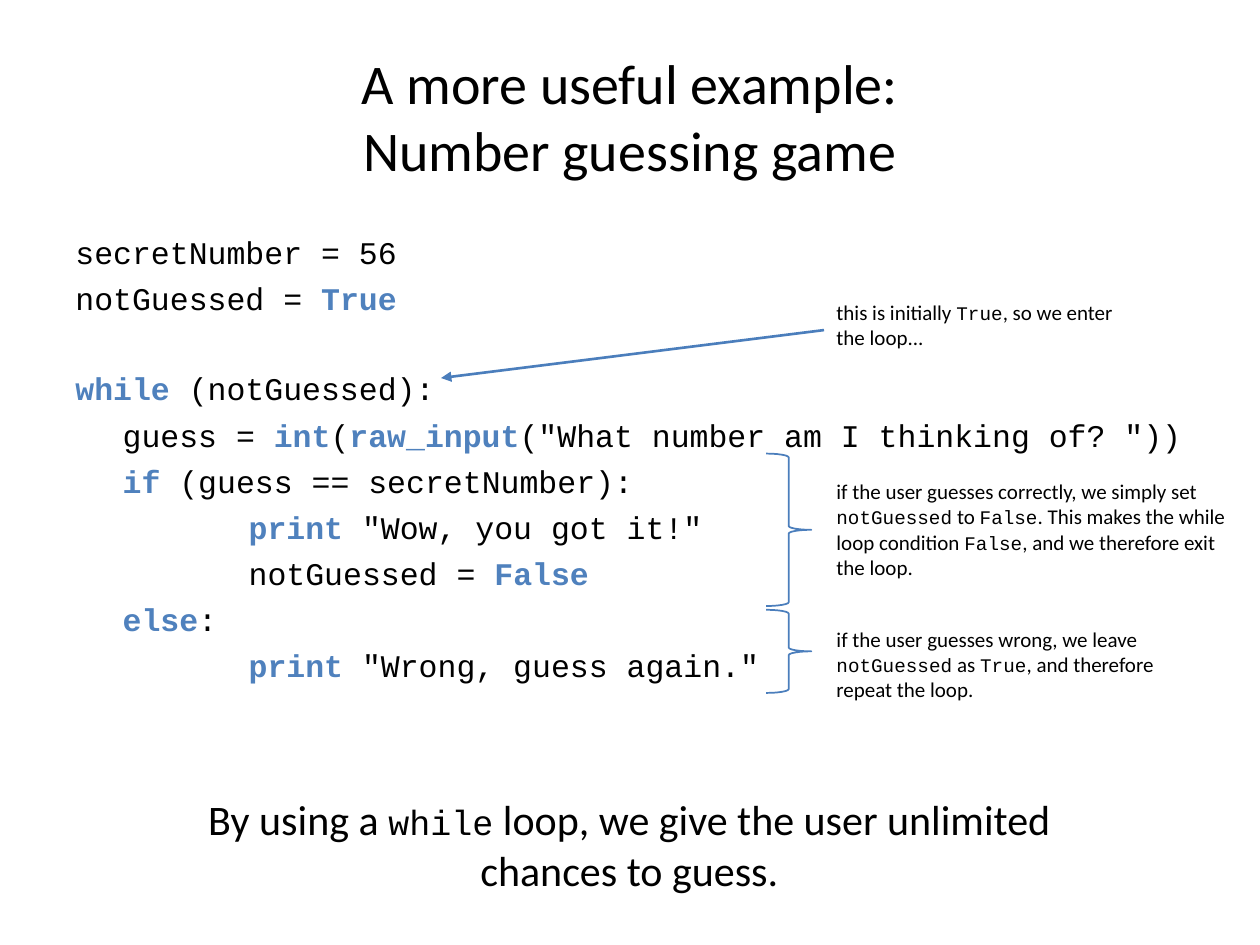
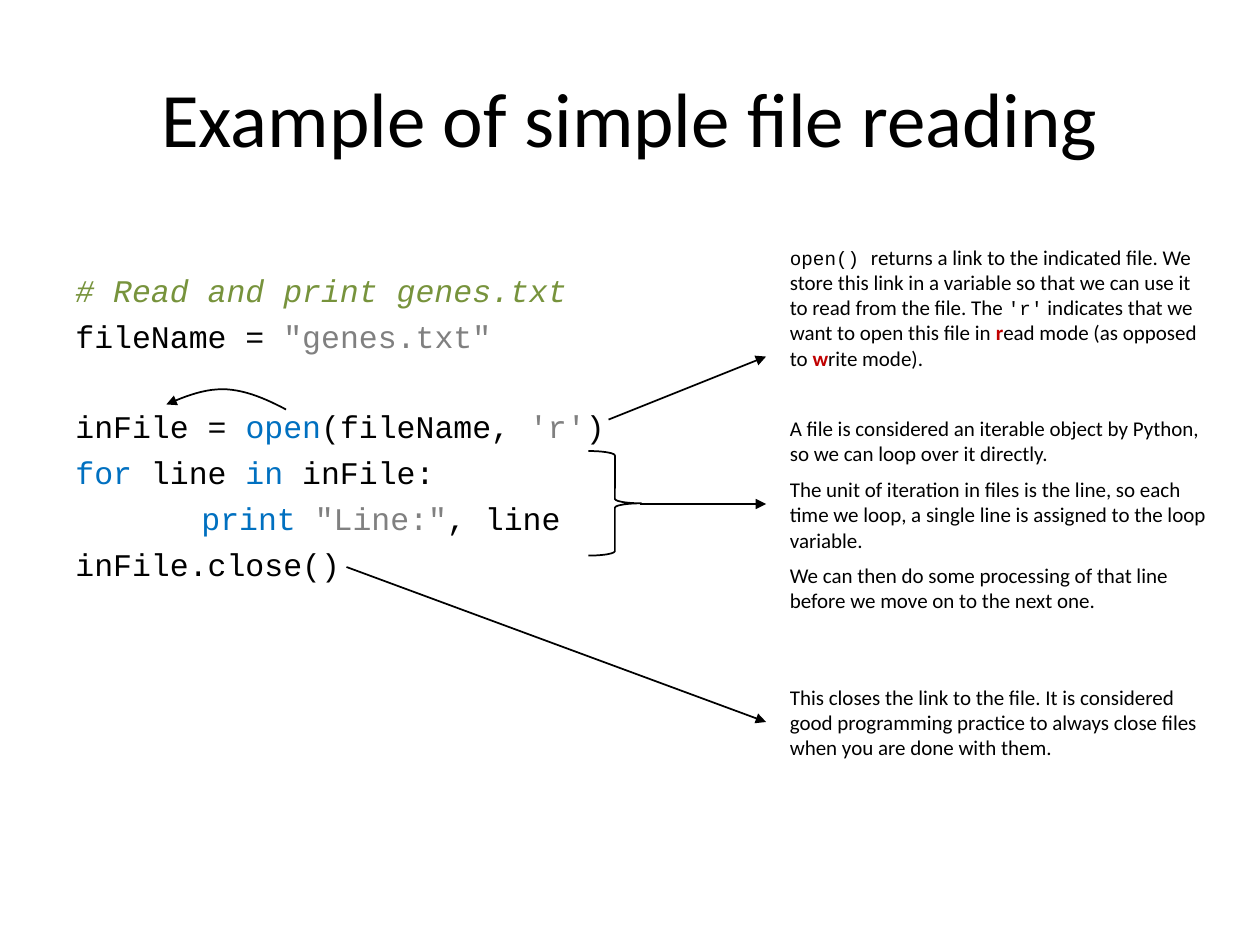
from dataclasses import dataclass, replace

from lxml.etree import SubElement
from pptx import Presentation
from pptx.dml.color import RGBColor
from pptx.enum.shapes import MSO_CONNECTOR, MSO_SHAPE
from pptx.enum.text import MSO_ANCHOR, PP_ALIGN
from pptx.oxml.ns import qn
from pptx.util import Emu, Pt

EMU_PER_PX = 9144  # 100 px to the inch
BLANK_LAYOUT = 6


@dataclass(frozen=True)
class Style:
    size: int
    family: str = "Calibri"
    color: str = "000000"
    bold: bool = False
    italic: bool = False


@dataclass(frozen=True)
class Theme:
    ink: str = "000000"
    callout_blue: str = "4B7EBC"
    title: Style = Style(44)
    long_title: Style = Style(32)
    note: Style = Style(12)
    note_code: Style = Style(11, "Courier New")
    note_letter: Style = Style(12, color="C00000", bold=True)
    summary: Style = Style(24)
    summary_code: Style = Style(20, "Courier New")
    code: Style = Style(18, "Courier New")
    code_gap: float = 4.75
    code_pitch: float = 25.15

    def code_in(self, color, **emphasis):
        return replace(self.code, color=color, **emphasis)


THEME = Theme()


def px(length):
    return Emu(round(length * EMU_PER_PX))


def set_font(font, style):
    font.name = style.family
    font.size = Pt(style.size)
    font.bold = style.bold
    font.italic = style.italic
    font.color.rgb = RGBColor.from_string(style.color)


def bezier(start, control_1, control_2, end, steps=12):
    """Points along a cubic curve, without its start."""
    for step in range(1, steps + 1):
        t = step / steps
        u = 1 - t
        yield tuple(
            u**3 * a + 3 * u * u * t * b + 3 * u * t * t * c + t**3 * d
            for a, b, c, d in zip(start, control_1, control_2, end)
        )


class Deck:
    def __init__(self, theme, width, height):
        self.theme = theme
        self.presentation = Presentation()
        self.presentation.slide_width = px(width)
        self.presentation.slide_height = px(height)
        self.slide = None

    def new_slide(self):
        layout = self.presentation.slide_layouts[BLANK_LAYOUT]
        self.slide = self.presentation.slides.add_slide(layout)

    def frame(self, box, inset=5, anchor=MSO_ANCHOR.TOP):
        """Empty wrapping text frame; inset is its top and bottom margin."""
        frame = self.slide.shapes.add_textbox(*map(px, box)).text_frame
        frame.word_wrap = True
        frame.vertical_anchor = anchor
        frame.margin_left = frame.margin_right = px(10)
        frame.margin_top = frame.margin_bottom = px(inset)
        return frame

    def fill_paragraph(self, paragraph, runs, base):
        """Write runs, each a string in the base style or a (style, string)."""
        set_font(paragraph.font, base)
        for part in runs:
            style, words = (base, part) if isinstance(part, str) else part
            run = paragraph.add_run()
            run.text = words
            set_font(run.font, style)

    def paragraphs(self, frame, count):
        return [frame.paragraphs[0]] + [frame.add_paragraph() for _ in range(count - 1)]

    def title(self, lines, style, inset=5, anchor=MSO_ANCHOR.MIDDLE):
        paragraph = self.frame((50, 30, 900, 125), inset, anchor).paragraphs[0]
        paragraph.alignment = PP_ALIGN.CENTER
        for number, line in enumerate(lines):
            if number:
                paragraph.add_line_break()
            self.fill_paragraph(paragraph, [line], style)

    def code(self, box, lines, inset=5):
        """Write lines of (indent, *runs); an empty tuple skips one line."""
        theme = self.theme
        written = [line for line in lines if line]
        paragraphs = iter(self.paragraphs(self.frame(box, inset), len(written)))
        before = theme.code_gap
        for line in lines:
            if not line:
                before += theme.code_pitch
                continue
            indent, *runs = line
            paragraph = next(paragraphs)
            paragraph.space_before = Pt(before)
            paragraph._p.get_or_add_pPr().set("marL", str(px(indent)))
            self.fill_paragraph(paragraph, runs, theme.code)
            before = theme.code_gap

    def note(self, box, *texts, after=0):
        paragraphs = self.paragraphs(self.frame(box), len(texts))
        for paragraph, runs in zip(paragraphs, texts):
            paragraph.space_after = Pt(after)
            self.fill_paragraph(paragraph, runs, self.theme.note)

    def summary(self, box, runs):
        paragraph = self.frame(box).paragraphs[0]
        paragraph.alignment = PP_ALIGN.CENTER
        self.fill_paragraph(paragraph, runs, self.theme.summary)

    def stroke(self, outlined, color, width, arrow=False):
        outlined.line.color.rgb = RGBColor.from_string(color)
        outlined.line.width = Pt(width)
        if arrow:
            line = outlined.line._get_or_add_ln()
            SubElement(line, qn("a:tailEnd"), type="triangle")

    def arrow(self, start, end, color, width=1):
        connector = self.slide.shapes.add_connector(
            MSO_CONNECTOR.STRAIGHT, *map(px, (*start, *end))
        )
        self.stroke(connector, color, width, arrow=True)
        SubElement(connector._element.spPr, qn("a:effectLst"))

    def curved_arrow(self, start, curves, color):
        points = [start]
        for curve in curves:
            points += bezier(points[-1], *curve)
        path = [(px(x), px(y)) for x, y in points]
        builder = self.slide.shapes.build_freeform(*path[0])
        builder.add_line_segments(path[1:], close=False)
        arc = builder.convert_to_shape()
        arc.fill.background()
        arc.shadow.inherit = False
        self.stroke(arc, color, 1, arrow=True)

    def brace(self, box, color):
        brace = self.slide.shapes.add_shape(MSO_SHAPE.RIGHT_BRACE, *map(px, box))
        brace.fill.background()
        brace.shadow.inherit = False
        self.stroke(brace, color, 1)


def add_guessing_game(deck):
    theme = deck.theme
    blue = theme.callout_blue

    def keyword(word):
        return theme.code_in("4F81BD", bold=True), word

    def term(word):
        return theme.note_code, word

    deck.new_slide()
    deck.code((50, 175, 900, 495), [
        (0, "secretNumber = 56"),
        (0, "notGuessed = ", keyword("True")),
        (),
        (0, keyword("while "), "(notGuessed):"),
        (37.5, "guess = ", keyword("int"), "(", keyword("raw_input"),
         '("What number am I thinking of? "))'),
        (37.5, keyword("if"), " (guess == secretNumber):"),
        (137.5, keyword("print "), '"Wow, you got it!"'),
        (137.5, "notGuessed = ", keyword("False")),
        (37.5, keyword("else"), ":"),
        (137.5, keyword("print "), '"Wrong, guess again."'),
    ], inset=10)
    deck.note((654, 233, 258, 50), [
        "this is initially ", term("True"), ", so we enter the loop...",
    ])
    deck.note((654, 492, 308, 71), [
        "if the user guesses wrong, we leave ", term("notGuessed"), " as ",
        term("True"), ", and therefore repeat the loop.",
    ])
    deck.note((654, 375, 333, 91), [
        "if the user guesses correctly, we simply set ", term("notGuessed"),
        " to ", term("False"), ". This makes the while loop condition ",
        term("False"), ", and we therefore exit the loop.",
    ])
    deck.arrow((654, 262), (350, 300), blue, width=1.5)
    for top, height in ((360, 121), (484, 66)):
        deck.brace((608, top, 36, height), blue)
    deck.summary((100, 625, 799, 91), [
        "By using a ", (theme.summary_code, "while"),
        " loop, we give the user unlimited chances to guess.",
    ])
    deck.title(["A more useful example:", "Number guessing game"],
               theme.long_title, inset=10, anchor=MSO_ANCHOR.BOTTOM)


def add_file_reading(deck):
    theme = deck.theme
    ink = theme.ink
    comment = theme.code_in("77933C", italic=True)

    def keyword(word):
        return theme.code_in("0070C0"), word

    def literal(word):
        return theme.code_in("808080"), word

    deck.new_slide()
    deck.title(["Example of simple file reading"], theme.title)
    deck.code((50, 210, 900, 460), [
        (0, (comment, "# Read and print genes.txt")),
        (0, "fileName = ", literal('"genes.txt"')),
        (),
        (0, "inFile = ", keyword("open"), "(fileName, ", literal("'r'"), ")"),
        (0, keyword("for"), " line ", keyword("in "), "inFile:"),
        (100, keyword("print "), literal('"Line:"'), ", line"),
        (0, "inFile.close()"),
    ])

    notes_left, notes_width, arrows_end = 617, 352, 608
    deck.note((notes_left, 189, notes_width, 111), [
        (theme.note_code, "open() "),
        "returns a link to the indicated file. We store this link in a variable "
        "so that we can use it to read from the file. The ",
        (theme.note_code, "'r'"),
        " indicates that we want to open this file in ",
        (theme.note_letter, "r"), "ead mode (as opposed to ",
        (theme.note_letter, "w"), "rite mode).",
    ])
    deck.note(
        (notes_left, 325, notes_width, 168),
        ["A file is considered an iterable object by Python, so we can loop "
         "over it directly."],
        ["The unit of iteration in files is the line, so each time we loop, "
         "a single line is assigned to the loop variable."],
        ["We can then do some processing of that line before we move on to "
         "the next one."],
        after=6,
    )
    deck.note((notes_left, 538, notes_width, 71), [
        "This closes the link to the file. It is considered good programming "
        "practice to always close files when you are done with them.",
    ])

    deck.brace((467, 358, 42, 83), ink)
    for start, end_y in (((483, 333), 283), ((508, 400), 400), ((275, 450), 573)):
        deck.arrow(start, (arrows_end, end_y), ink)
    deck.curved_arrow((227, 325), [
        ((212, 317), (196, 310), (180, 309)),
        ((164, 308), (148, 314), (132, 321)),
    ], ink)


def main():
    deck = Deck(THEME, 1000, 750)
    add_guessing_game(deck)
    add_file_reading(deck)
    deck.presentation.save("out.pptx")


if __name__ == "__main__":
    main()
